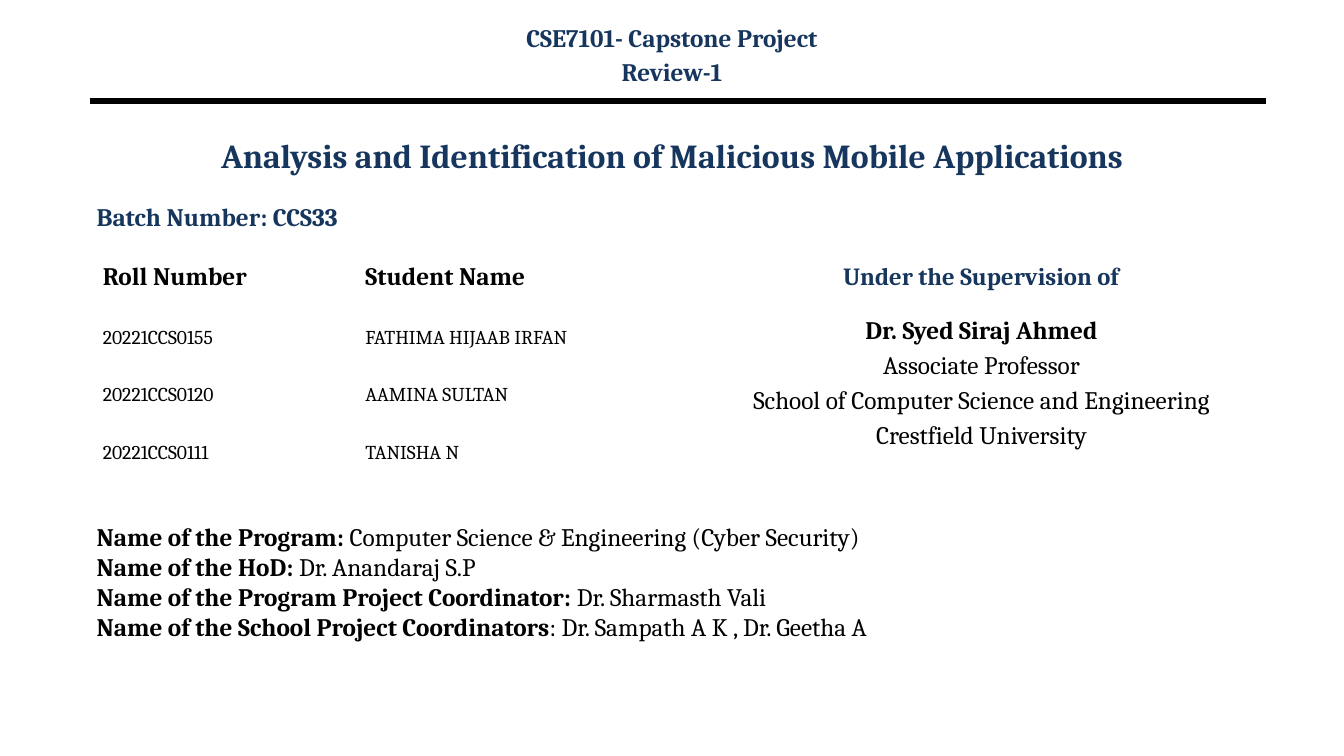
from lxml import etree
from pptx import Presentation
from pptx.dml.color import RGBColor
from pptx.enum.shapes import MSO_CONNECTOR
from pptx.enum.text import MSO_ANCHOR, PP_ALIGN
from pptx.oxml.ns import qn
from pptx.util import Inches, Pt

LEFT, CENTER = PP_ALIGN.LEFT, PP_ALIGN.CENTER
TOP, MIDDLE = MSO_ANCHOR.TOP, MSO_ANCHOR.MIDDLE
STRAIGHT = MSO_CONNECTOR.STRAIGHT
NAVY = RGBColor(0x17, 0x36, 0x5D)
BLACK = RGBColor(0x00, 0x00, 0x00)

STUDENTS = [
    ("Roll Number", "Student Name"),
    ("20221CCS0155", "FATHIMA HIJAAB IRFAN"),
    ("20221CCS0120", "AAMINA SULTAN"),
    ("20221CCS0111", "TANISHA N"),
]
SUPERVISOR = [
    [("Dr. Syed Siraj Ahmed", True)],
    [("Associate Professor", False)],
    [("School of Computer Science and Engineering", False)],
    [("Crestfield University", False)],
]
PROGRAM = [
    [("Name of the Program: ", True),
     ("Computer Science & Engineering (Cyber Security)", False)],
    [("Name of the HoD: ", True), ("Dr. Anandaraj S.P", False)],
    [("Name of the Program Project Coordinator: ", True),
     ("Dr. Sharmasth Vali", False)],
    [("Name of the School Project Coordinators", True),
     (": Dr. Sampath A K , Dr. Geetha A", False)],
]


class CoverPage:
    """Draws the elements of a project cover page in one style."""

    def __init__(self, page, font="Cambria"):
        self.page = page
        self.font = font

    def fill_text(self, frame, lines, color=BLACK, size=18, **layout):
        for index, line in enumerate(lines):
            para = frame.paragraphs[0] if index == 0 else frame.add_paragraph()
            for name, value in layout.items():
                setattr(para, name, value)
            for text, bold in line:
                span = para.add_run()
                span.text = text
                style = {"name": self.font, "size": Pt(size), "bold": bold}
                for name, value in style.items():
                    setattr(span.font, name, value)
                span.font.color.rgb = color

    def text(self, place, lines, anchor=TOP, **style):
        box = self.page.shapes.add_textbox(*map(Inches, place))
        frame = box.text_frame
        frame.word_wrap = True
        frame.vertical_anchor = anchor
        self.fill_text(frame, lines, **style)

    def rule(self, left, right, top, weight):
        line = self.page.shapes.add_connector(
            STRAIGHT, Inches(left), Inches(top), Inches(right), Inches(top))
        line.line.color.rgb = BLACK
        line.line.width = Pt(weight)
        etree.SubElement(line._element.spPr, qn("a:effectLst"))

    def table(self, place, rows, heights):
        table = self.page.shapes.add_table(
            len(rows), len(rows[0]), *map(Inches, place)).table
        table.first_row = table.horz_banding = False
        for index, (row, height) in enumerate(zip(rows, heights)):
            table.rows[index].height = Inches(height)
            header = index == 0
            for column, value in enumerate(row):
                cell = table.cell(index, column)
                cell.fill.background()
                self.fill_text(cell.text_frame, [[(value, header)]],
                               size=18 if header else 14, alignment=LEFT)


def main():
    deck = Presentation()
    deck.slide_width, deck.slide_height = Inches(13.33), Inches(7.5)
    cover = CoverPage(deck.slides.add_slide(deck.slide_layouts[6]))

    cover.rule(0.89, 12.56, 1, 4.5)
    cover.text((1, 1.01, 11.33, 1.05),
               [[("Analysis and Identification of Malicious Mobile Applications", True)]],
               anchor=MIDDLE, color=NAVY, size=24, alignment=CENTER)
    cover.text((0.86, 1.95, 4.8, 0.6), [[("Batch Number: CCS33", True)]],
               color=NAVY, alignment=LEFT)
    cover.text((7.62, 2.57, 4.22, 0.73), [[("Under the Supervision of", True)]],
               color=NAVY, size=17.6, alignment=CENTER, line_spacing=0.9)
    cover.text((3.66, 0.17, 6.01, 0.8),
               [[("CSE7101- Capstone Project", True)], [("Review-1", True)]],
               color=NAVY, alignment=CENTER, space_before=Pt(3.1))
    cover.text((0.86, 5.12, 12.4, 1.71), PROGRAM, alignment=LEFT)
    cover.text((6.67, 3.07, 6.13, 1.74), SUPERVISOR,
               alignment=CENTER, space_before=Pt(3.4))
    cover.table((0.92, 2.56, 5.21, 2.33), STUDENTS, [0.63] + [0.57] * 3)

    deck.save("out.pptx")


if __name__ == "__main__":
    main()
